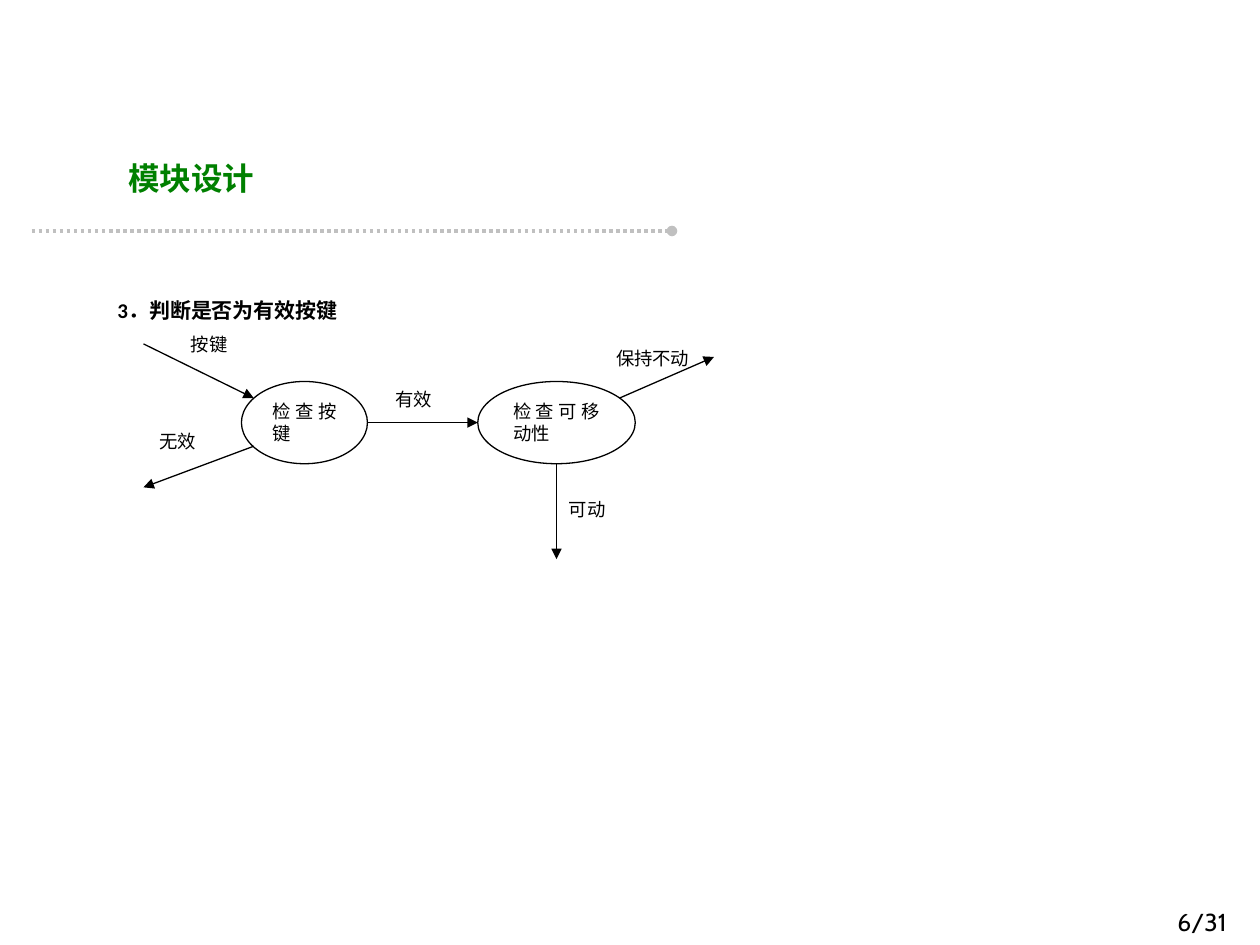
"""Build the module design slide with its key-checking data flow diagram."""
from dataclasses import dataclass

from lxml import etree
from pptx import Presentation
from pptx import util as u
from pptx.dml.color import RGBColor
from pptx.enum import dml, shapes, text
from pptx.oxml.ns import qn

COLORS = {"ink": "000000", "paper": "FFFFFF", "title": "008000", "rule": "C0C0C0"}
PLAIN = {"name": "Calibri", "size": u.Pt(10.5), "bold": False}
HEADING = {"name": "Calibri", "size": u.Pt(12), "bold": True}
TITLE = {"name": "Calibri", "size": u.Pt(18), "bold": True}
NUMBER = {"name": "Cabin", "size": u.Pt(14), "bold": False}


@dataclass
class Node:
    words: str
    left: float
    top: float
    width: float = 45
    height: float = 24
    kind: shapes.MSO_SHAPE = shapes.MSO_SHAPE.RECTANGLE
    outline: str = "paper"


@dataclass
class Arrow:
    start: tuple[float, float]
    end: tuple[float, float]
    color: str = "ink"
    weight: float = 0.75
    tip: str = "triangle"


OVAL = {"height": 47, "kind": shapes.MSO_SHAPE.OVAL, "outline": "ink"}
NODES = [
    Node("无效", 84, 242),
    Node("有效", 219, 218),
    Node("按键", 102, 187),
    Node("保持不动", 345, 195, 63),
    Node("可动", 318, 281),
    Node("检查按键", 138, 218, 72, **OVAL),
    Node("检查可移动性", 273, 218, 90, **OVAL),
]
ARROWS = [
    Arrow((210, 241.5), (273, 241.5)),
    Arrow((82, 196.5), (145, 227.5)),
    Arrow((145, 255), (82, 278.5)),
    Arrow((354, 227.5), (408, 204)),
    Arrow((318, 265), (318, 319.5)),
]
RULE = Arrow((18, 132), (384, 132), "rule", 2, "oval")


def paint(name: str) -> RGBColor:
    """Return the named colour."""
    return RGBColor.from_string(COLORS[name])


def assign(target, values: dict) -> None:
    """Set each attribute in values on the target."""
    for name, value in values.items():
        setattr(target, name, value)


def write(box, words: str, font: dict, align, color: str = "ink",
          anchor=text.MSO_ANCHOR.TOP):
    """Write one formatted paragraph in a shape and return it."""
    frame = box.text_frame
    assign(frame, {"word_wrap": True, "vertical_anchor": anchor,
                   "auto_size": text.MSO_AUTO_SIZE.NONE})
    para = frame.paragraphs[0]
    para.alignment = align
    span = para.add_run()
    span.text = words
    assign(span.font, font)
    span.font.color.rgb = paint(color)
    return para


def draw_node(page, node: Node) -> None:
    """Draw a label or a process bubble."""
    box = page.shapes.add_shape(node.kind, u.Pt(node.left), u.Pt(node.top),
                                u.Pt(node.width), u.Pt(node.height))
    box.shadow.inherit = False
    box.fill.solid()
    box.fill.fore_color.rgb = paint("paper")
    box.line.color.rgb = paint(node.outline)
    box.line.width = u.Pt(0.75)
    write(box, node.words, PLAIN, text.PP_ALIGN.JUSTIFY)


def draw_arrow(page, arrow: Arrow):
    """Draw a straight line with a tip at its end and return it."""
    points = [u.Pt(value) for value in (*arrow.start, *arrow.end)]
    line = page.shapes.add_connector(shapes.MSO_CONNECTOR.STRAIGHT, *points)
    line.line.color.rgb = paint(arrow.color)
    line.line.width = u.Pt(arrow.weight)
    etree.SubElement(line.line._get_or_add_ln(), qn("a:tailEnd"), type=arrow.tip)
    etree.SubElement(line._element.spPr, qn("a:effectLst"))
    return line


def main() -> None:
    """Build and save the deck."""
    deck = Presentation()
    assign(deck, {"slide_width": u.Pt(720), "slide_height": u.Pt(540)})
    page = deck.slides.add_slide(deck.slide_layouts[5])

    draw_arrow(page, RULE).line.dash_style = dml.MSO_LINE.ROUND_DOT

    title = page.shapes.title
    assign(title, {"left": u.Pt(66), "top": u.Pt(72),
                   "width": u.Pt(360), "height": u.Pt(54)})
    para = write(title, "模块设计", TITLE, text.PP_ALIGN.JUSTIFY, "title",
                 text.MSO_ANCHOR.MIDDLE)
    para.line_spacing = 1.25

    number = page.shapes.add_textbox(u.Pt(540), u.Pt(515), u.Pt(168), u.Pt(31))
    write(number, "6/31", NUMBER, text.PP_ALIGN.RIGHT)

    heading = page.shapes.add_textbox(u.Pt(39), u.Pt(166.5), u.Pt(680), u.Pt(36))
    para = write(heading, "3．判断是否为有效按键", HEADING, text.PP_ALIGN.LEFT)
    para._p.get_or_add_pPr().set("indent", str(u.Pt(21)))

    for node in NODES:
        draw_node(page, node)
    for arrow in ARROWS:
        draw_arrow(page, arrow)

    deck.save("out.pptx")


if __name__ == "__main__":
    main()
